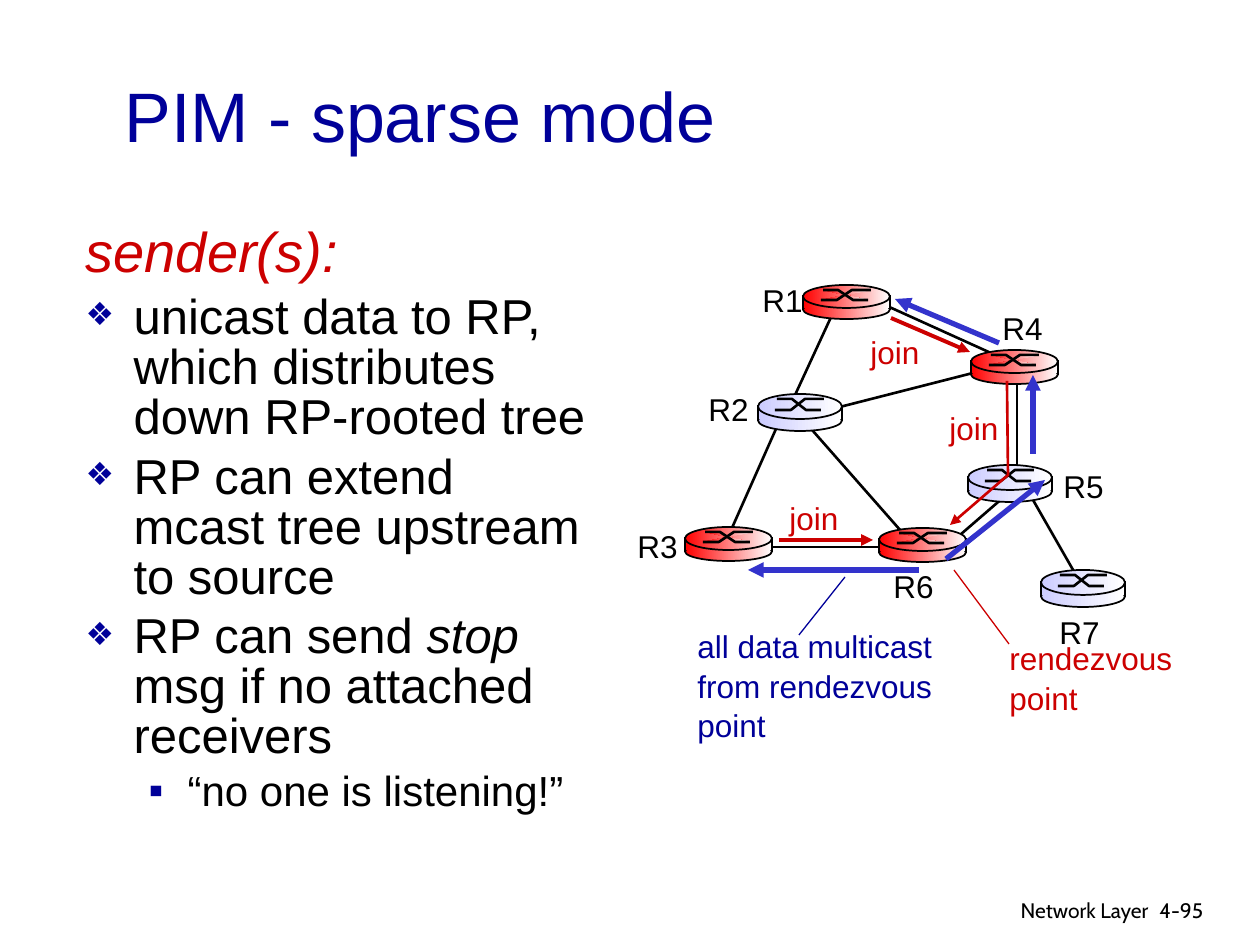
import lxml.etree
import pptx
import pptx.dml.color
import pptx.enum.shapes
import pptx.enum.text
import pptx.oxml.ns
import pptx.util

PX = 914400 / 126
THEME = {
    "navy": "000099", "red": "CC0000", "blue": "3333CC", "black": "000000",
    "white": "FFFFFF", "member": "FF0000", "other": "CCCCFF",
    "font": "Arial", "footer_font": "Cabin",
    "title": 40, "heading": 32, "body": 28, "sub": 24, "label": 18, "footer": 12,
}
RGB = pptx.dml.color.RGBColor.from_string
qn = pptx.oxml.ns.qn
SHAPE = pptx.enum.shapes.MSO_SHAPE
ALIGN = pptx.enum.text.PP_ALIGN


def write(paragraph, text, size="label", color="black", font="font", italic=False):
    run = paragraph.add_run()
    run.text = text
    run.font.name = THEME[font]
    run.font.size = pptx.util.Pt(THEME[size])
    run.font.color.rgb = RGB(THEME[color])
    run.font.italic = italic


def stroke(shape, color, width, arrow=False):
    shape.line.color.rgb = RGB(THEME[color])
    shape.line.width = pptx.util.Pt(width)
    properties = shape.element.spPr
    if arrow:
        lxml.etree.SubElement(properties.find(qn("a:ln")), qn("a:tailEnd"), type="triangle")
    if properties.find(qn("a:effectLst")) is None:
        lxml.etree.SubElement(properties, qn("a:effectLst"))


deck = pptx.Presentation()
deck.slide_width = round(1260 * PX)
deck.slide_height = round(945 * PX)
slide = deck.slides.add_slide(deck.slide_layouts[1])
shapes = slide.shapes

title = shapes.title
body = slide.placeholders[1]
for holder, box in [(title, (112, 35, 636, 158)), (body, (73, 221, 525, 640))]:
    holder.left, holder.top, holder.width, holder.height = [round(v * PX) for v in box]
    holder.text_frame.auto_size = pptx.enum.text.MSO_AUTO_SIZE.NONE
    holder.text_frame.word_wrap = True
title.text_frame.vertical_anchor = pptx.enum.text.MSO_ANCHOR.MIDDLE
heading = title.text_frame.paragraphs[0]
heading.alignment = ALIGN.LEFT
write(heading, "PIM - sparse mode", size="title", color="navy")

bullets = [
    (0, None, "heading", [("sender(s):", True)]),
    (0, "❖", "body", [("unicast data to RP, which distributes down RP-rooted tree", False)]),
    (0, "❖", "body", [("RP can extend mcast tree upstream to source", False)]),
    (0, "❖", "body", [("RP can send ", False), ("stop", True),
                      (" msg if no attached receivers", False)]),
    (1, "▪", "sub", [("“no one is listening!”", False)]),
]
for index, (level, mark, size, parts) in enumerate(bullets):
    point = body.text_frame.paragraphs[0] if index == 0 else body.text_frame.add_paragraph()
    point.level = level
    point.line_spacing = 0.85
    point.space_before = pptx.util.Pt(THEME[size] * 0.2 if index else 0)
    settings = point._p.get_or_add_pPr()
    margin, hanging = [(48, 48), (102, 39)][level]
    settings.set("marL", str(round(margin * PX)))
    settings.set("indent", str(round(-hanging * PX)))
    if mark:
        tint = lxml.etree.SubElement(settings, qn("a:buClr"))
        lxml.etree.SubElement(tint, qn("a:srgbClr"), val=THEME["navy"])
        if level == 0:
            lxml.etree.SubElement(settings, qn("a:buSzPct"), val="65000")
        lxml.etree.SubElement(settings, qn("a:buChar"), char=mark)
    else:
        lxml.etree.SubElement(settings, qn("a:buNone"))
    for text, italic in parts:
        write(point, text, size=size, color="red" if italic and not mark else "black",
              italic=italic)

links = [
    ((799, 635), (845, 577), "navy", 0.75, False),
    ((954, 570), (1009, 644), "red", 0.75, False),
    ((919, 570), (748, 570), "blue", 3, True),
    ((999, 343), (895, 299), "blue", 3, True),
    ((779, 540), (873, 540), "red", 2.25, True),
    ((891, 318), (970, 352), "red", 2.25, True),
    ((1021, 479), (1076, 575), "black", 1.5, False),
    ((828, 410), (1016, 362), "black", 1.5, False),
    ((791, 406), (908, 539), "black", 1.5, False),
    ((876, 301), (1013, 363), "black", 1.5, False),
    ((945, 548), (1019, 484), "black", 1.5, False),
    ((1017, 375), (1017, 475), "black", 1.5, False),
    ((748, 547), (890, 547), "black", 1.5, False),
    ((780, 420), (728, 537), "black", 1.5, False),
    ((838, 302), (790, 406), "black", 1.5, False),
]
upstream_arrows = [
    ((1033, 454), (1033, 375), "blue", 3, True),
    ((946, 559), (1045, 480), "blue", 3, True),
]
STRAIGHT = pptx.enum.shapes.MSO_CONNECTOR.STRAIGHT
for start, end, color, width, arrow in links:
    link = shapes.add_connector(STRAIGHT, *[round(v * PX) for v in start + end])
    stroke(link, color, width, arrow)

routers = [
    (803, 285, "member"), (971, 350, "member"), (879, 528, "member"), (685, 527, "member"),
    (758, 394, "other"), (968, 465, "other"), (1041, 570, "other"),
]
router_sizes = {"member": (87, 34), "other": (84, 37)}
router_layers = [(SHAPE.OVAL, 15, 19), (SHAPE.RECTANGLE, 12, 11), (SHAPE.OVAL, 0, 23)]
crossing_paths = [
    [(18, 15), (34, 15), (49, 5), (68, 5)],
    [(20, 5), (35, 5), (50, 15), (65, 15)],
]
for left, top, kind in routers:
    width, height = router_sizes[kind]
    x_scale, y_scale = width / 87, height / 34
    parts = []
    for outline, offset, depth in router_layers:
        layer = shapes.add_shape(outline, *[round(v * PX) for v in (
            left, top + round(offset * y_scale), width, round(depth * y_scale))])
        layer.shadow.inherit = False
        parts.append(layer)
        if outline == SHAPE.OVAL:
            stroke(layer, "black", 1)
        else:
            layer.line.fill.background()
    for path_points in crossing_paths:
        points = [(left + round(x * x_scale), top + round(y * y_scale)) for x, y in path_points]
        builder = shapes.build_freeform(*points[0], scale=PX)
        builder.add_line_segments(points[1:], close=False)
        crossing = builder.convert_to_shape()
        stroke(crossing, "black", 1.5)
        if kind == "member":
            parts.append(crossing)
        else:
            crossing.fill.background()
    for part in parts:
        part.fill.gradient()
        part.fill.gradient_angle = 0
        for stop, color in zip(part.fill.gradient_stops, (kind, "white")):
            stop.color.rgb = RGB(THEME[color])
        part.fill.gradient_stops[0].position = 0
        part.fill.gradient_stops[1].position = 1
    for x in (left, left + width):
        side = shapes.add_connector(STRAIGHT, *[round(v * PX) for v in (
            x, top + round(10 * y_scale), x, top + round(25 * y_scale))])
        stroke(side, "black", 1)

join_route = shapes.build_freeform(1007, 381, scale=PX)
join_route.add_line_segments([(1008, 475), (950, 525)], close=False)
join_arrow = join_route.convert_to_shape()
join_arrow.fill.background()
stroke(join_arrow, "red", 1.5, True)
for start, end, color, width, arrow in upstream_arrows:
    link = shapes.add_connector(STRAIGHT, *[round(v * PX) for v in start + end])
    stroke(link, color, width, arrow)

router_labels = [("R1", 750, 273), ("R2", 696, 382), ("R3", 625, 519), ("R4", 990, 301),
                 ("R5", 1051, 459), ("R6", 881, 559), ("R7", 1047, 605)]
join_labels = [(937, 401), (858, 325), (777, 491)]
captions = [([name], (x, y, 66, 50), "black") for name, x, y in router_labels]
captions += [(["join"], (x, y, 74, 50), "red") for x, y in join_labels]
captions += [
    (["all data multicast", "from rendezvous", "point"], (685, 619, 260, 126), "navy"),
    (["rendezvous", "point"], (997, 631, 188, 88), "red"),
]
for rows, box, color in captions:
    caption = shapes.add_textbox(*[round(v * PX) for v in box]).text_frame
    caption.word_wrap = False
    for index, row in enumerate(rows):
        line = caption.add_paragraph() if index else caption.paragraphs[0]
        line.line_spacing = 1.05
        write(line, row, color=color)

footers = [("Network Layer", (762, 891, 399, 39), ALIGN.RIGHT),
           ("4-95", (1147, 891, 93, 38), ALIGN.LEFT)]
for text, box, alignment in footers:
    footer = shapes.add_textbox(*[round(v * PX) for v in box]).text_frame
    footer.word_wrap = True
    footer.paragraphs[0].alignment = alignment
    write(footer.paragraphs[0], text, size="footer", font="footer_font")

deck.save("out.pptx")
